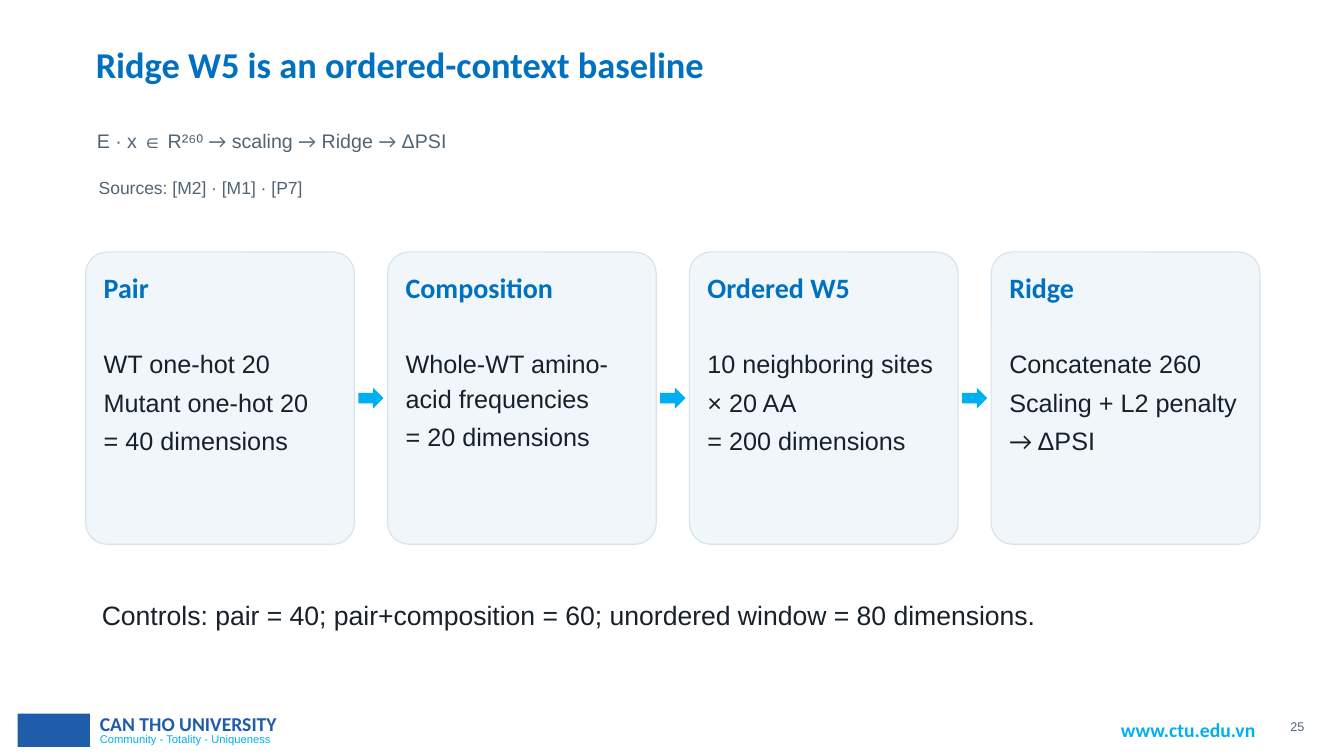
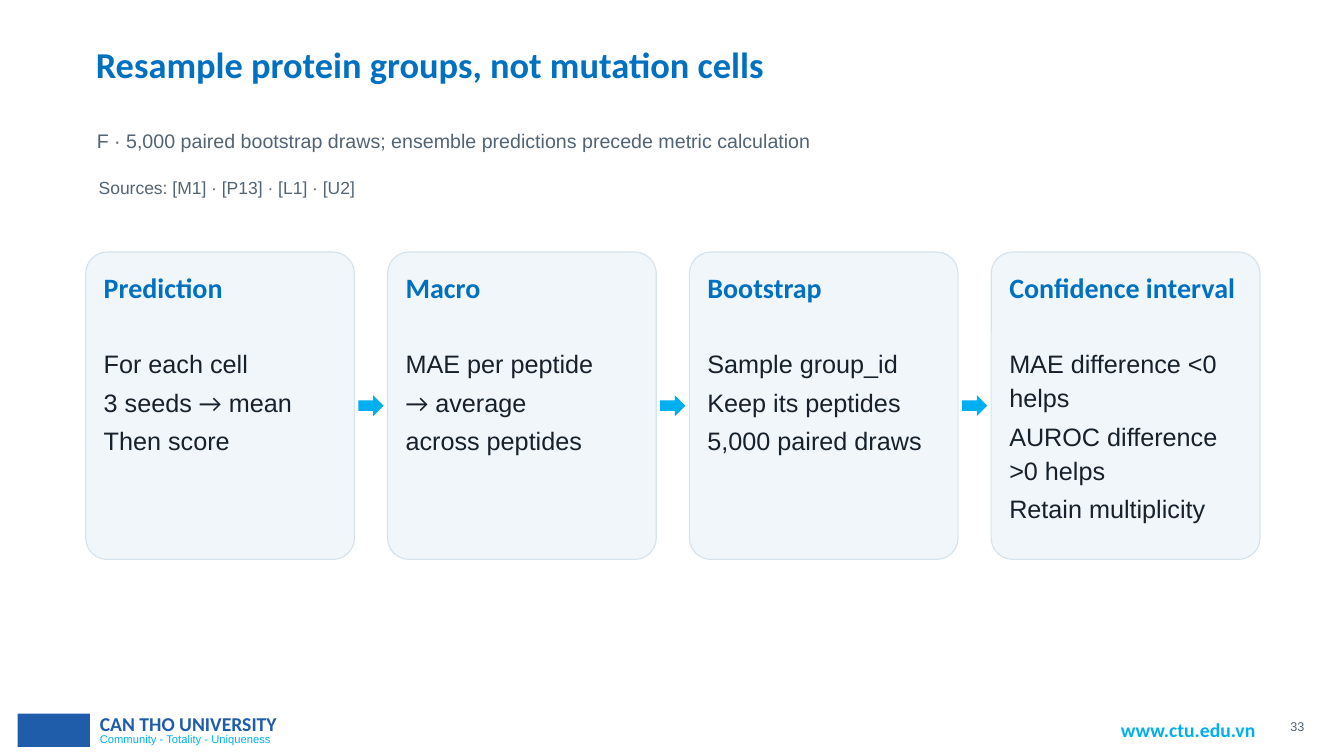
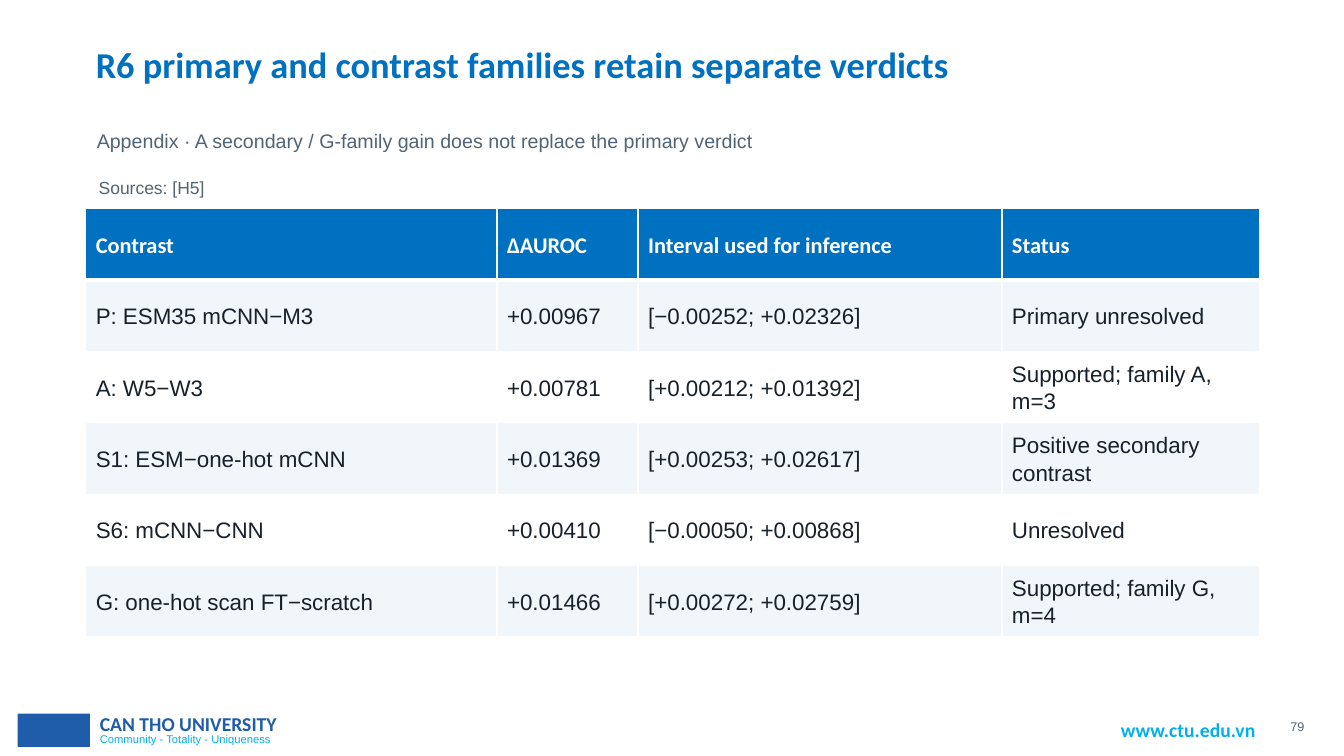
import pptx
import pptx.util
import pptx.dml.color
import pptx.enum.shapes
import pptx.enum.text
import pptx.oxml
import pptx.oxml.ns

Pt = pptx.util.Pt
RGB = pptx.dml.color.RGBColor
SHAPE = pptx.enum.shapes.MSO_SHAPE
ALIGN = pptx.enum.text.PP_ALIGN
ANCHOR = pptx.enum.text.MSO_ANCHOR

BLUE = RGB(0x00, 0x70, 0xC0)
CYAN = RGB(0x00, 0xAF, 0xEF)
NAVY = RGB(0x1F, 0x5C, 0xAA)
INK = RGB(0x17, 0x21, 0x2B)
GREY = RGB(0x52, 0x64, 0x74)
PALE = RGB(0xF0, 0xF6, 0xFA)
EDGE = RGB(0xD6, 0xE3, 0xEC)
WHITE = RGB(0xFF, 0xFF, 0xFF)
HEAD, BODY = "Calibri", "Arial"

LEFT, WIDTH = 61.2, 838.8
CARD_TOP, CARD_W = 180, 192
PAD = 12.2
ARROW_W, ARROW_H = 18, 15
ROW_H = 51


def style(para, size, color, face=BODY, bold=False, align=ALIGN.LEFT):
    para.alignment = align
    font = para.font
    font.size, font.name, font.bold = Pt(size), face, bold
    font.color.rgb = color


def write(para, text):
    """Add the text as runs, with arrows in the heading font."""
    for i, part in enumerate(text.split("→")):
        if i:
            arrow = para.add_run()
            arrow.text, arrow.font.name = "→", HEAD
        if part:
            para.add_run().text = part


def fill_box(shape, lines, *look, **more):
    """Write spaced lines into a box with thin margins."""
    frame = shape.text_frame
    frame.word_wrap = True
    frame.auto_size = pptx.enum.text.MSO_AUTO_SIZE.NONE
    frame.vertical_anchor = ANCHOR.TOP
    frame.margin_left = frame.margin_right = Pt(0.72)
    frame.margin_top = frame.margin_bottom = Pt(0.72)
    for i, line in enumerate(lines):
        para = frame.add_paragraph() if i else frame.paragraphs[0]
        write(para, line)
        para.line_spacing, para.space_after = 1.13, Pt(3)
        style(para, *look, **more)


def add_text(slide, box, lines, *look, **more):
    shape = slide.shapes.add_textbox(*map(Pt, box))
    fill_box(shape, lines, *look, **more)


def add_label(slide, box, text, *look):
    """Add a one-line footer label with normal margins."""
    frame = slide.shapes.add_textbox(*map(Pt, box)).text_frame
    para = frame.paragraphs[0]
    para.text = text
    style(para, *look)


def add_block(slide, kind, box, fill):
    shape = slide.shapes.add_shape(kind, *map(Pt, box))
    shape.shadow.inherit = False
    shape.fill.solid()
    shape.fill.fore_color.rgb = fill
    shape.line.fill.background()
    return shape


def add_foot(slide, page):
    add_block(slide, SHAPE.RECTANGLE, (12.5, 509.8, 51.8, 23.8), NAVY)
    add_label(slide, (64.2, 519.8, 151, 17),
              "Community - Totality - Uniqueness", 8, CYAN)
    add_label(slide, (64.2, 504.7, 217, 24), "CAN THO UNIVERSITY",
              14, NAVY, HEAD, True)
    add_label(slide, (793.6, 509, 118, 24), "www.ctu.edu.vn",
              14, CYAN, HEAD, True)
    add_text(slide, (910.8, 511.2, 21.6, 14.4), [str(page)], 9, GREY,
             align=ALIGN.RIGHT)


def add_slide(deck, page, title, lead, refs):
    slide = deck.slides.add_slide(deck.slide_layouts[5])
    head = slide.shapes.title
    head.left, head.top, head.width, head.height = map(
        Pt, (67.7, 25.2, WIDTH, 59))
    fill_box(head, [title], 26, BLUE, HEAD, True)
    add_text(slide, (68.4, 89.3, 831.6, 34.6), [lead], 14, GREY)
    add_text(slide, (69.8, 123.8, 825.8, 19.4), ["Sources: " + refs],
             12.5, GREY)
    add_foot(slide, page)
    return slide


def add_cards(slide, height, cards):
    """Lay cards in an even row, with an arrow in each gap."""
    step = (WIDTH - CARD_W) / (len(cards) - 1)
    gap = step - CARD_W
    for i, (name, lines) in enumerate(cards):
        x = LEFT + i * step
        card = add_block(slide, SHAPE.ROUNDED_RECTANGLE,
                         (x, CARD_TOP, CARD_W, height), PALE)
        card.adjustments[0] = 0.08
        card.line.color.rgb = EDGE
        card.line.width = Pt(0.8)
        wide = CARD_W - 2 * PAD
        add_text(slide, (x + PAD, CARD_TOP + 9.4, wide, 47.5), [name],
                 20, BLUE, HEAD, True)
        add_text(slide, (x + PAD, CARD_TOP + 65.5, wide, height - 73.5),
                 lines, 18, INK)
        if i < len(cards) - 1:
            add_block(slide, SHAPE.RIGHT_ARROW,
                      (x + CARD_W + (gap - ARROW_W) / 2,
                       CARD_TOP + (height - ARROW_H) / 2,
                       ARROW_W, ARROW_H), CYAN)


def add_rule(cell, side, width):
    """Draw a white border on one side (L, R, T or B) of a cell."""
    cell._tc.get_or_add_tcPr().append(pptx.oxml.parse_xml(
        f'<a:ln{side} {pptx.oxml.ns.nsdecls("a")} w="{Pt(width)}">'
        f'<a:solidFill><a:srgbClr val="{WHITE}"/></a:solidFill>'
        f'</a:ln{side}>'))


def add_grid(slide, top, widths, rows):
    grid = slide.shapes.add_table(
        len(rows), len(widths), Pt(LEFT), Pt(top), Pt(WIDTH),
        Pt(ROW_H * len(rows))).table
    for col, width in zip(grid.columns, widths):
        col.width = Pt(width)
    for r, row in enumerate(rows):
        grid.rows[r].height = Pt(ROW_H)
        for c, text in enumerate(row):
            cell = grid.cell(r, c)
            cell.vertical_anchor = ANCHOR.MIDDLE
            for side in "LRTB":
                thick = (r, side) in ((0, "B"), (1, "T"))
                add_rule(cell, side, 3 if thick else 1)
            cell.fill.solid()
            para = cell.text_frame.paragraphs[0]
            para.text = text
            para.line_spacing = 1.1
            if r == 0:
                cell.fill.fore_color.rgb = BLUE
                style(para, 16, WHITE, HEAD, True)
            else:
                cell.fill.fore_color.rgb = PALE if r % 2 else WHITE
                style(para, 16, INK)


def main():
    deck = pptx.Presentation()
    deck.slide_width, deck.slide_height = Pt(960), Pt(540)

    ridge = add_slide(deck, 25, "Ridge W5 is an ordered-context baseline",
                      "E · x ∈ R²⁶⁰ → scaling → Ridge → ΔPSI",
                      "[M2] · [M1] · [P7]")
    add_cards(ridge, 208.8, [
        ("Pair", ["WT one-hot 20", "Mutant one-hot 20", "= 40 dimensions"]),
        ("Composition", ["Whole-WT amino-acid frequencies",
                         "= 20 dimensions"]),
        ("Ordered W5", ["10 neighboring sites", "× 20 AA",
                        "= 200 dimensions"]),
        ("Ridge", ["Concatenate 260", "Scaling + L2 penalty", "→ ΔPSI"]),
    ])
    add_text(ridge, (72, 424, 813.6, 36),
             ["Controls: pair = 40; pair+composition = 60; "
              "unordered window = 80 dimensions."], 19, INK)

    draws = add_slide(deck, 33, "Resample protein groups, not mutation cells",
                      "F · 5,000 paired bootstrap draws; ensemble predictions "
                      "precede metric calculation",
                      "[M1] · [P13] · [L1] · [U2]")
    add_cards(draws, 219.6, [
        ("Prediction", ["For each cell", "3 seeds → mean", "Then score"]),
        ("Macro", ["MAE per peptide", "→ average", "across peptides"]),
        ("Bootstrap", ["Sample group_id", "Keep its peptides",
                       "5,000 paired draws"]),
        ("Confidence interval", ["MAE difference <0 helps",
                                 "AUROC difference >0 helps",
                                 "Retain multiplicity"]),
    ])

    tests = add_slide(deck, 79, "R6 primary and contrast families retain "
                      "separate verdicts",
                      "Appendix · A secondary / G-family gain does not "
                      "replace the primary verdict", "[H5]")
    add_grid(tests, 149, (293.8, 100.8, 259.9, 184.3), [
        ("Contrast", "ΔAUROC", "Interval used for inference", "Status"),
        ("P: ESM35 mCNN−M3", "+0.00967", "[−0.00252; +0.02326]",
         "Primary unresolved"),
        ("A: W5−W3", "+0.00781", "[+0.00212; +0.01392]",
         "Supported; family A, m=3"),
        ("S1: ESM−one-hot mCNN", "+0.01369", "[+0.00253; +0.02617]",
         "Positive secondary contrast"),
        ("S6: mCNN−CNN", "+0.00410", "[−0.00050; +0.00868]", "Unresolved"),
        ("G: one-hot scan FT−scratch", "+0.01466", "[+0.00272; +0.02759]",
         "Supported; family G, m=4"),
    ])
    deck.save("out.pptx")


if __name__ == "__main__":
    main()
